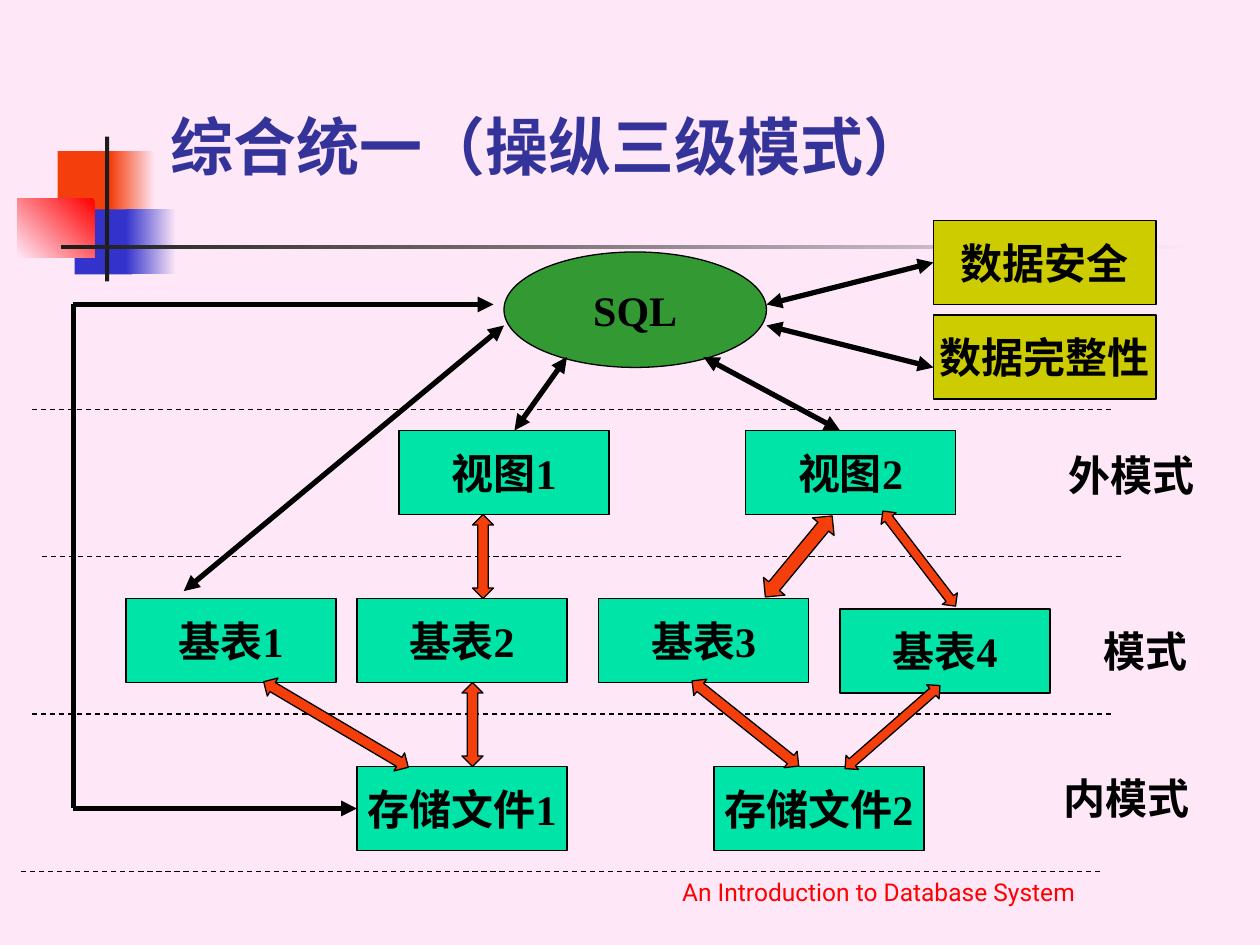
from dataclasses import dataclass
from typing import Optional

from lxml import etree
from pptx import Presentation
from pptx import util as u
from pptx.dml.color import RGBColor
from pptx.enum import dml, shapes, text
from pptx.oxml import ns

GRID = 2.54 / 12


@dataclass(frozen=True)
class Theme:
    page: str = "FEE8F7"
    ink: str = "000000"
    dark: str = "1C1C1C"
    title: str = "333399"
    foot: str = "FF0000"
    red: str = "FF0000"
    fire: str = "F43E0C"
    blue: str = "3333CC"
    hub: str = "339933"
    node: str = "00E4A8"
    rule: str = "CCCC00"
    serif: str = "Times New Roman"
    sans: str = "Roboto"
    big: int = 36
    body: int = 24
    small: int = 14
    thin: float = 0.75
    thick: float = 3


T = Theme()


@dataclass(frozen=True)
class Patch:
    x: float
    y: float
    w: float
    h: float
    color: str
    fade: Optional[int] = None


@dataclass(frozen=True)
class Node:
    label: str
    x: float
    y: float
    color: str = T.node
    w: float = 20
    h: float = 8
    kind: shapes.MSO_SHAPE = shapes.MSO_SHAPE.RECTANGLE


@dataclass(frozen=True)
class Arrow:
    x: float
    y: float
    w: float
    h: float
    turn: float
    tip: float


@dataclass(frozen=True)
class Label:
    words: str
    x: float
    y: float
    w: float
    h: float = 6
    size: int = T.body
    font: str = T.serif
    color: str = T.ink
    bold: bool = True
    wrap: bool = False
    align: text.PP_ALIGN = text.PP_ALIGN.CENTER
    anchor: text.MSO_ANCHOR = text.MSO_ANCHOR.TOP


@dataclass(frozen=True)
class Link:
    x1: float
    y1: float
    x2: float
    y2: float
    head: bool = True
    tail: bool = True
    start: str = ""


PATCHES = [
    Patch(5.5, 14.4, 5.8, 6.2, T.fire),
    Patch(10.5, 14.4, 4.3, 6.2, T.fire, 0),
    Patch(7.1, 19.95, 5.5, 6.2, T.blue),
    Patch(12, 19.95, 4.8, 6.2, T.blue, 0),
    Patch(1.65, 18.95, 7.35, 5.55, T.red, 225),
    Patch(10, 13, 0.4, 13.8, T.dark),
    Patch(5.8, 23.35, 108, 0.4, T.dark, 0),
]
DASHES = [(3, 39), (4, 53), (3, 68), (2, 83)]
NODES = [
    Node("SQL", 48, 24, T.hub, 25, 11, shapes.MSO_SHAPE.OVAL),
    Node("视图1", 38, 41),
    Node("视图2", 71, 41),
    Node("基表1", 12, 57),
    Node("基表2", 34, 57),
    Node("基表3", 57, 57),
    Node("基表4", 80, 58),
    Node("存储文件1", 34, 73),
    Node("存储文件2", 68, 73),
    Node("数据安全", 88.9, 21, T.rule, 21.2),
    Node("数据完整性", 88.9, 30, T.rule, 21.2),
]
ARROWS = [
    Arrow(45, 49, 2, 8, 0, 0.8),
    Arrow(74.75, 48, 2.65, 10, 39.5, 0.76),
    Arrow(86.65, 47.5, 1.8, 11.4, -37.4, 1.25),
    Arrow(31, 61, 2, 16, -59.4, 1.59),
    Arrow(44, 65, 2, 8, 0, 0.8),
    Arrow(70, 62.4, 2, 13, -51.4, 1.3),
    Arrow(84.1, 63.25, 1.8, 12, 48.8, 1.32),
]
LABELS = [
    Label("综合统一（操纵三级模式）", 15.1, 10, 102.2, 8, T.big, T.sans, T.title,
          wrap=True, align=text.PP_ALIGN.LEFT, anchor=text.MSO_ANCHOR.BOTTOM),
    Label("外模式", 100.3, 42.25, 15),
    Label("模式", 103.6, 59, 11),
    Label("内模式", 99.75, 73, 15),
    Label("An Introduction to Database System", 52.4, 80.9, 62.6, 6, T.small,
          T.sans, T.foot, bold=False, wrap=True, anchor=text.MSO_ANCHOR.BOTTOM),
]
LINKS = [
    Link(54, 34, 49, 41),
    Link(67, 34, 80, 41),
    Link(48, 31, 17.5, 56.3),
    Link(34, 77, 7, 77, tail=False, start="存储文件1"),
    Link(47, 29, 7, 29, tail=False),
    Link(7, 29, 7, 77, head=False, tail=False),
    Link(88.9, 25, 73, 29, start="数据安全"),
    Link(88.9, 35, 73, 31),
]


def cell(n: float) -> u.Cm:
    return u.Cm(n * GRID)


def rgb(code: str) -> RGBColor:
    return RGBColor.from_string(code)


def place(page, kind, item, color: str, edge: bool = True):
    shape = page.shapes.add_shape(kind, *map(cell, (item.x, item.y, item.w, item.h)))
    shape.shadow.inherit = False
    shape.fill.solid()
    shape.fill.fore_color.rgb = rgb(color)
    if edge:
        shape.line.color.rgb = rgb(T.ink)
        shape.line.width = u.Pt(T.thin)
    else:
        shape.line.fill.background()
    return shape


def write(frame, words: str, size: int, font: str, color: str, bold: bool,
          align: text.PP_ALIGN, anchor: text.MSO_ANCHOR, wrap: bool) -> None:
    frame.word_wrap = wrap
    frame.vertical_anchor = anchor
    para = frame.paragraphs[0]
    para.text = words
    para.alignment = align
    para.font.size = u.Pt(size)
    para.font.name = font
    para.font.bold = bold
    para.font.color.rgb = rgb(color)


def draw_patch(page, item: Patch) -> None:
    shape = place(page, shapes.MSO_SHAPE.RECTANGLE, item, item.color, edge=False)
    if item.fade is not None:
        shape.fill.gradient()
        shape.fill.gradient_angle = item.fade
        for stop, color in zip(shape.fill.gradient_stops, (item.color, T.page)):
            stop.color.rgb = rgb(color)


def draw_node(page, item: Node):
    shape = place(page, item.kind, item, item.color)
    write(shape.text_frame, item.label, T.body, T.serif, T.ink, True,
          text.PP_ALIGN.CENTER, text.MSO_ANCHOR.MIDDLE, False)
    return shape


def draw_arrow(page, item: Arrow) -> None:
    shape = place(page, shapes.MSO_SHAPE.UP_DOWN_ARROW, item, T.fire)
    shape.rotation = item.turn
    shape.adjustments[0] = item.tip
    shape.adjustments[1] = 0.5


def draw_label(page, item: Label) -> None:
    box = page.shapes.add_textbox(*map(cell, (item.x, item.y, item.w, item.h)))
    write(box.text_frame, item.words, item.size, item.font, item.color, item.bold,
          item.align, item.anchor, item.wrap)
    if not item.wrap:
        box.text_frame.auto_size = text.MSO_AUTO_SIZE.SHAPE_TO_FIT_TEXT


def draw_line(page, item: Link, width: float):
    line = page.shapes.add_connector(
        shapes.MSO_CONNECTOR.STRAIGHT, *map(cell, (item.x1, item.y1, item.x2, item.y2)))
    line.line.color.rgb = rgb(T.ink)
    line.line.width = u.Pt(width)
    etree.SubElement(line._element.spPr, ns.qn("a:effectLst"))
    return line


def draw_link(page, item: Link, nodes: dict) -> None:
    line = draw_line(page, item, T.thick)
    if item.start:
        line.begin_connect(nodes[item.start], 1)
    stroke = line.line._get_or_add_ln()
    for tag, shown in (("a:headEnd", item.head), ("a:tailEnd", item.tail)):
        if shown:
            etree.SubElement(stroke, ns.qn(tag), type="triangle")


def main() -> None:
    deck = Presentation()
    deck.slide_width, deck.slide_height = cell(120), cell(90)
    page = deck.slides.add_slide(deck.slide_layouts[6])
    page.background.fill.solid()
    page.background.fill.fore_color.rgb = rgb(T.page)
    for item in PATCHES:
        draw_patch(page, item)
    for x, y in DASHES:
        line = draw_line(page, Link(x, y, x + 103, y), T.thin)
        line.line.dash_style = dml.MSO_LINE.DASH
    nodes = {item.label: draw_node(page, item) for item in NODES}
    for item in ARROWS:
        draw_arrow(page, item)
    for item in LABELS:
        draw_label(page, item)
    for item in LINKS:
        draw_link(page, item, nodes)
    deck.save("out.pptx")


if __name__ == "__main__":
    main()
